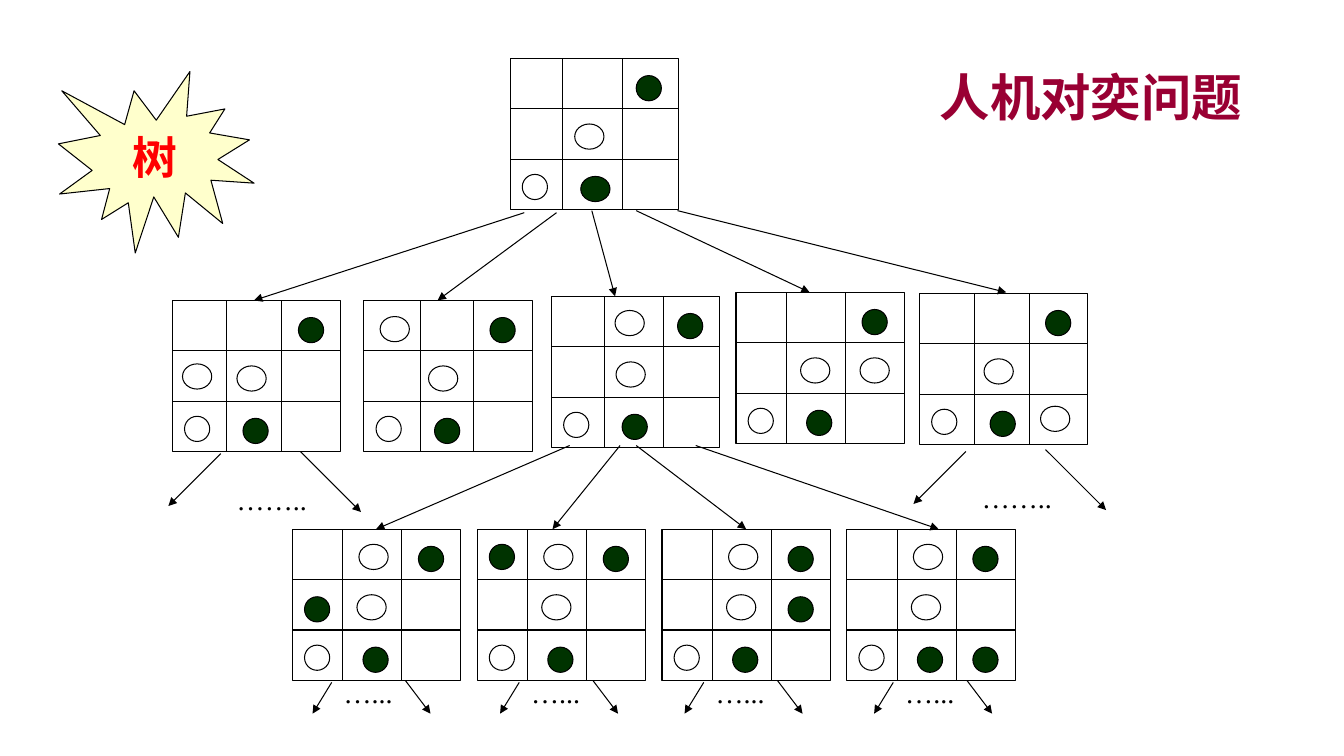
from lxml import etree
from pptx import Presentation
from pptx.dml.color import RGBColor
from pptx.enum.shapes import MSO_CONNECTOR, MSO_SHAPE
from pptx.enum.text import MSO_ANCHOR, PP_ALIGN
from pptx.oxml.ns import qn
from pptx.util import Inches, Pt

RECT, OVAL, BURST = MSO_SHAPE.RECTANGLE, MSO_SHAPE.OVAL, MSO_SHAPE.EXPLOSION1
STRAIGHT = MSO_CONNECTOR.STRAIGHT
LEFT, CENTER, RIGHT = PP_ALIGN.LEFT, PP_ALIGN.CENTER, PP_ALIGN.RIGHT
MIDDLE = MSO_ANCHOR.MIDDLE

TITLE = "人机对奕问题"
TOPIC = "树"
LATIN, CJK = "Times New Roman", "Noto Sans CJK SC"
BLACK, WHITE, INK = "003300", "FFFFFF", "000000"
BOARD_W, BOARD_H, ROW_H = 1.67, 1.5, 0.5
STONE_H = 0.25

# Stones: offset from the board's corner, width, colour
START = [(1.25, 0.17, 0.25, BLACK), (0.64, 0.65, 0.29, WHITE), (0.12, 1.15, 0.25, WHITE)]
ROOT_STONES = START + [(0.70, 1.17, 0.29, BLACK)]
OPENING = START + [(0.70, 1.17, 0.25, BLACK)]
REPLY = OPENING + [(0.66, 0.15, 0.29, WHITE)]

ROOT = (5.06, 0.58, (0.52, 1.11))

# Left, top, column lines, white move, arrow start, arrow end
WHITE_MOVES = [
    (1.71, 2.98, (0.54, 1.08), (0.10, 0.63), (5.20, 2.11), (2.52, 2.98)),
    (3.61, 2.98, (0.56, 1.09), (0.16, 0.16), (5.52, 2.11), (4.34, 2.98)),
    (5.47, 2.94, (0.53, 1.11), (0.63, 0.14), (5.87, 2.09), (6.10, 2.94)),
    (7.30, 2.90, (0.50, 1.09), (1.23, 0.65), (6.31, 2.09), (8.03, 2.90)),
    (9.12, 2.91, (0.55, 1.09), (1.20, 1.12), (6.72, 2.09), (9.98, 2.90)),
]

# Black move, arrow start, arrow end; the boards stand at equal steps
BLACK_MOVES = [
    ((0.12, 0.67), (5.65, 4.42), (3.73, 5.25)),
    ((0.12, 0.15), (6.15, 4.42), (5.48, 5.25)),
    ((1.25, 0.67), (6.31, 4.42), (7.40, 5.25)),
    ((1.25, 1.17), (6.90, 4.42), (9.31, 5.25)),
]
REPLY_LEFT, REPLY_TOP, REPLY_STEP = 2.9, 5.25, 1.833
REPLY_COLUMNS = (0.50, 1.085)

# Continuations: dots, their box size, corners of the group, then offsets of
# the dots box and of the two arrows
CONTINUATIONS = [
    ("……..", (0.90, 0.43), [(1.67, 4.48), (9.06, 4.46)],
     (0.58, 0.26), [((0.52, 0.02), (0, 0.54)), ((1.31, 0), (1.91, 0.60))]),
    ("…...", (0.69, 0.43), [(3.10, 6.75), (4.96, 6.75), (6.79, 6.75), (8.67, 6.75)],
     (0.21, -0.10), [((0.19, 0.02), (0, 0.33)), ((0.92, 0), (1.17, 0.33))]),
]


def rgb(color):
    return RGBColor.from_string(color)


def inches(*lengths):
    return [Inches(length) for length in lengths]


def add_outlined(slide, kind, left, top, width, height, fill=None):
    shape = slide.shapes.add_shape(kind, *inches(left, top, width, height))
    shape.shadow.inherit = False
    if fill:
        shape.fill.solid()
        shape.fill.fore_color.rgb = rgb(fill)
    else:
        shape.fill.background()
    shape.line.color.rgb = rgb(INK)
    shape.line.width = Pt(0.75)
    return shape


def add_line(slide, start, end, arrow=False):
    line = slide.shapes.add_connector(STRAIGHT, *inches(*start, *end))
    line.line.color.rgb = rgb(INK)
    line.line.width = Pt(0.75)
    properties = line.element.spPr
    if arrow:
        etree.SubElement(properties.find(qn("a:ln")), qn("a:tailEnd"), type="triangle")
    etree.SubElement(properties, qn("a:effectLst"))


def write(shape, text, size, font, color, align, bold=False):
    paragraph = shape.text_frame.paragraphs[0]
    paragraph.text = text
    paragraph.alignment = align
    run = paragraph.runs[0]
    run.font.name = font
    run.font.size = Pt(size)
    run.font.bold = bold
    run.font.color.rgb = rgb(color)
    if font == CJK or text == TOPIC:
        east_asian = etree.Element(qn("a:ea"), typeface=CJK)
        run.font._element.find(qn("a:latin")).addnext(east_asian)


def add_board(slide, left, top, columns, stones):
    add_outlined(slide, RECT, left, top, BOARD_W, BOARD_H)
    for row in (1, 2):
        y = top + row * ROW_H
        add_line(slide, (left, y), (left + BOARD_W, y))
    for column in columns:
        x = left + column
        add_line(slide, (x, top), (x, top + BOARD_H))
    for dx, dy, width, color in stones:
        add_outlined(slide, OVAL, left + dx, top + dy, width, STONE_H, color)


def add_continuation(slide, dots, size, corner, dots_offset, arrows):
    def place(offset):
        return corner[0] + offset[0], corner[1] + offset[1]

    for start, end in arrows:
        add_line(slide, place(start), place(end), arrow=True)
    box = slide.shapes.add_textbox(*inches(*place(dots_offset), *size))
    box.text_frame.word_wrap = False
    write(box, dots, 20, LATIN, INK, LEFT)


def main():
    deck = Presentation()
    deck.slide_width, deck.slide_height = inches(13.33, 7.5)
    slide = deck.slides.add_slide(deck.slide_layouts[5])

    title = slide.shapes.title
    title.left, title.top, title.width, title.height = inches(1, 0.58, 11.42, 0.75)
    title.text_frame.vertical_anchor = MIDDLE
    write(title, TITLE, 36, CJK, "990033", RIGHT, bold=True)

    add_board(slide, *ROOT, ROOT_STONES)
    for left, top, columns, move, start, end in WHITE_MOVES:
        add_board(slide, left, top, columns, OPENING + [(*move, 0.29, WHITE)])
        add_line(slide, start, end, arrow=True)
    for index, (move, start, end) in enumerate(BLACK_MOVES):
        left = REPLY_LEFT + index * REPLY_STEP
        add_board(slide, left, REPLY_TOP, REPLY_COLUMNS, REPLY + [(*move, 0.25, BLACK)])
        add_line(slide, start, end, arrow=True)

    burst = add_outlined(slide, BURST, 0.58, 0.71, 1.94, 1.8, "FFFFCC")
    burst.text_frame.vertical_anchor = MIDDLE
    write(burst, TOPIC, 32, LATIN, "FF0000", CENTER, bold=True)

    for dots, size, corners, dots_offset, arrows in CONTINUATIONS:
        for corner in corners:
            add_continuation(slide, dots, size, corner, dots_offset, arrows)

    deck.save("out.pptx")


if __name__ == "__main__":
    main()
